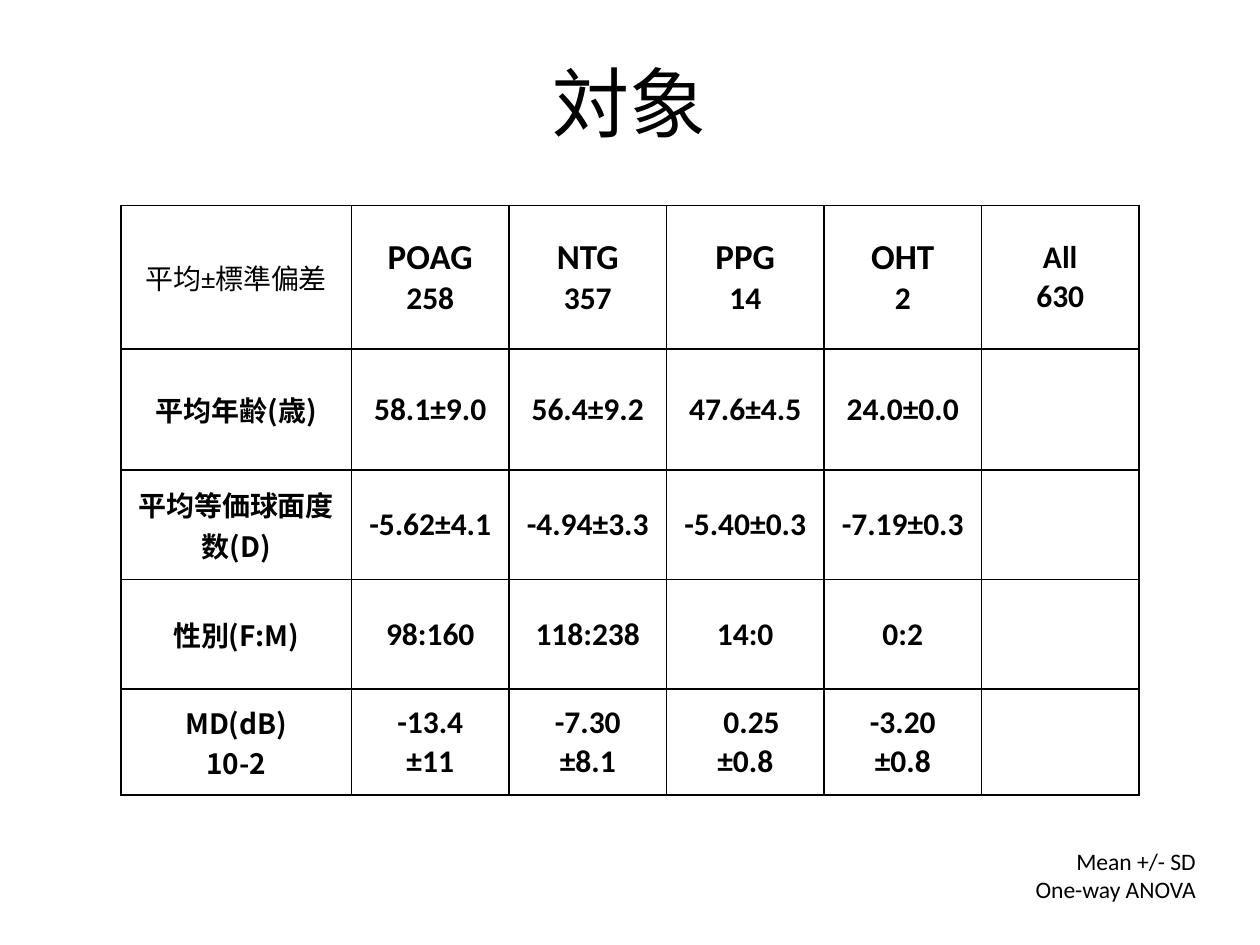
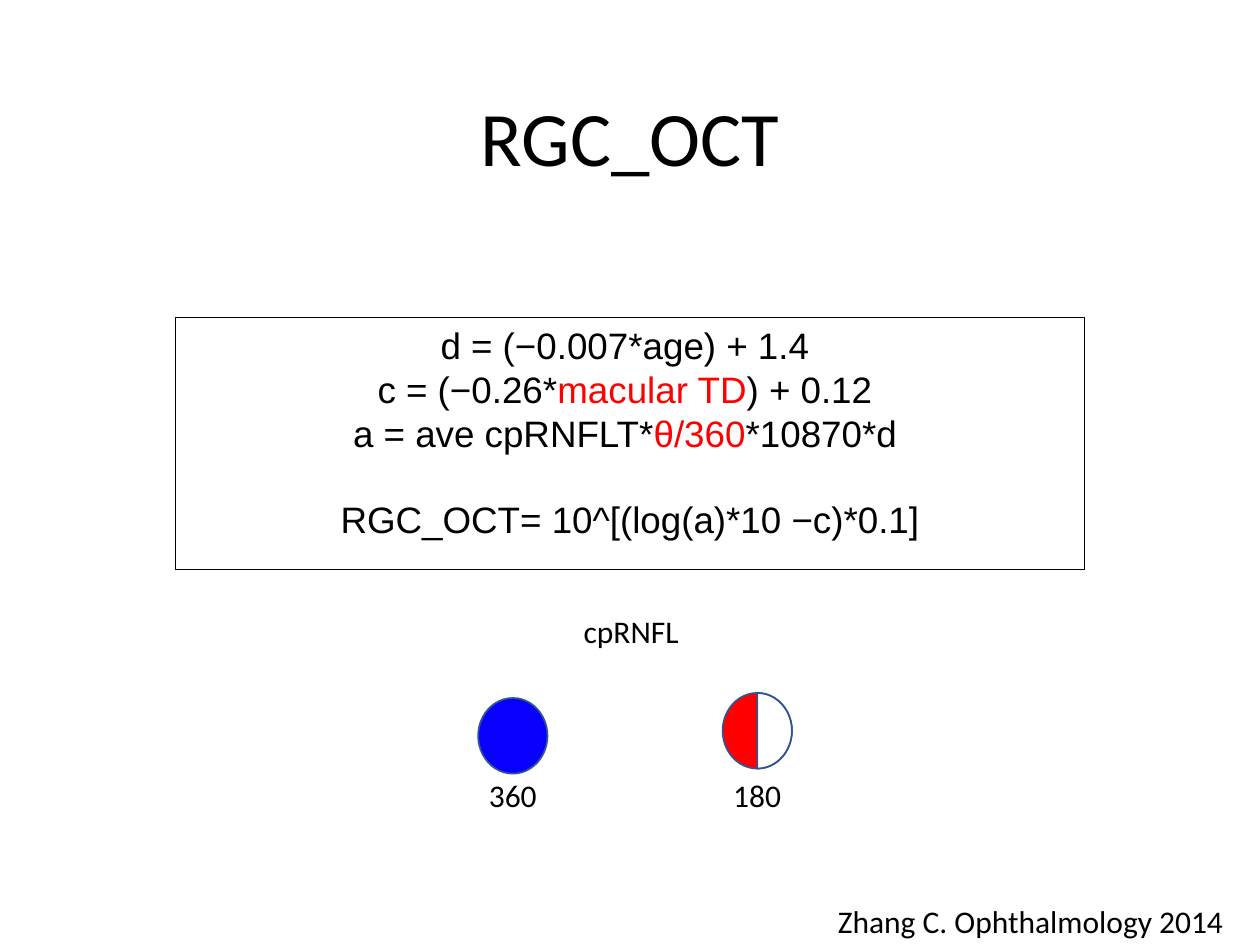
from lxml.etree import SubElement
from pptx import Presentation
from pptx.dml.color import RGBColor
from pptx.enum.shapes import MSO_SHAPE
from pptx.enum.text import MSO_ANCHOR, PP_ALIGN
from pptx.oxml.ns import qn
from pptx.util import Inches, Pt

# Shared look
WIDTH, HEIGHT = 10, 7.5
BLACK, WHITE, RED, BLUE, OUTLINE = "000000", "FFFFFF", "FF0000", "0700FF", "325491"
BODY, LABEL, FORMULA = "Calibri", "Noto Sans CJK JP", "Arial"
CENTER, RIGHT = PP_ALIGN.CENTER, PP_ALIGN.RIGHT

# Subjects table: each cell is a list of lines
HEADER = [["平均±標準偏差"], ["POAG", "258"], ["NTG", "357"], ["PPG", "14"],
          ["OHT", "2"], ["All", "630"]]
ROWS = [
    [["平均年齢(歳)"], ["58.1±9.0"], ["56.4±9.2"], ["47.6±4.5"], ["24.0±0.0"], []],
    [["平均等価球面度数(D)"], ["-5.62±4.1"], ["-4.94±3.3"], ["-5.40±0.3"], ["-7.19±0.3"], []],
    [["性別(F:M)"], ["98:160"], ["118:238"], ["14:0"], ["0:2"], []],
    [["MD(dB)", "10-2"], ["-13.4", "±11"], ["-7.30", "±8.1"], ["0.25", "±0.8"],
     ["-3.20", "±0.8"], []],
]
COLUMN_WIDTHS = [1.83] + [1.25] * 5
ROW_HEIGHTS = [1.14, 0.96, 0.87, 0.87, 0.84]
TABLE_NOTE = ["Mean +/- SD", "One-way ANOVA"]

# Formulas: each line is a list of (text, colour)
FORMULAS = [
    [("d = (−0.007*age) + 1.4 ", BLACK)],
    [("c = (−0.26*", BLACK), ("macular TD", RED), (") + 0.12 ", BLACK)],
    [("a = ave cpRNFLT*", BLACK), ("θ/360", RED), ("*10870*d ", BLACK)],
    [("RGC_OCT= 10^[(log(a)*10 −c)*0.1]", BLACK)],
]
CITATION = "Zhang C. Ophthalmology 2014"

# Nerve fibre layer circles: angle, centre, top, fill
CIRCLES = [("360", 4.07, 5.54, BLUE), ("180", 6.01, 5.5, RED)]
CIRCLE_SIZE = (0.55, 0.6)


def color(hex_text):
    return RGBColor.from_string(hex_text)


def set_font(target, size, name=BODY, bold=False, tint=BLACK):
    target.font.size, target.font.name, target.font.bold = Pt(size), name, bold
    target.font.color.rgb = color(tint)


def set_insets(holder, across, down):
    holder.margin_left = holder.margin_right = Inches(across)
    holder.margin_top = holder.margin_bottom = Inches(down)


def write_lines(frame, lines, size, align=CENTER):
    for number, line in enumerate(lines):
        para = frame.add_paragraph() if number else frame.paragraphs[0]
        para.text, para.alignment = line, align
        set_font(para, size)


def add_text(page, place, lines, size, align=CENTER, insets=(0.1, 0.05), wrap=True):
    frame = page.shapes.add_textbox(*map(Inches, place)).text_frame
    frame.word_wrap = wrap
    set_insets(frame, *insets)
    write_lines(frame, lines, size, align)
    return frame


def add_title(page, text, height):
    frame = add_text(page, (0.69, 0.4, WIDTH - 2 * 0.69, height), [text], 44)
    frame.vertical_anchor = MSO_ANCHOR.MIDDLE
    frame.paragraphs[0].line_spacing = 0.9


def add_shape(page, kind, place, line, weight, fill=None):
    shape = page.shapes.add_shape(kind, *map(Inches, place))
    shape.shadow.inherit = False
    if fill:
        shape.fill.solid()
        shape.fill.fore_color.rgb = color(fill)
    else:
        shape.fill.background()
    shape.line.color.rgb, shape.line.width = color(line), Pt(weight)
    return shape


def style_cell(cell):
    properties = cell._tc.get_or_add_tcPr()
    for side in ("a:lnL", "a:lnR", "a:lnT", "a:lnB"):
        border = SubElement(properties, qn(side), w=str(Pt(1)))
        SubElement(SubElement(border, qn("a:solidFill")), qn("a:srgbClr"), val=BLACK)
    cell.fill.solid()
    cell.fill.fore_color.rgb = color(WHITE)
    cell.vertical_anchor = MSO_ANCHOR.MIDDLE
    set_insets(cell, 0.07, 0.07)


def cell_font(row, column, line, text):
    """Return size, font and weight for one line of the table."""
    if column == 0:
        return (16, LABEL, True) if row else (16, BODY, False)
    large = row == 0 and line == 0 and text != "All"
    return 20 if large else 18, BODY, True


def add_subjects_table(page):
    rows = [HEADER] + ROWS
    table = page.shapes.add_table(
        len(rows), len(COLUMN_WIDTHS), Inches(0.96), Inches(1.63),
        Inches(sum(COLUMN_WIDTHS)), Inches(sum(ROW_HEIGHTS))).table
    table.first_row = table.horz_banding = False
    for column, width in zip(table.columns, COLUMN_WIDTHS):
        column.width = Inches(width)
    for row, height in zip(table.rows, ROW_HEIGHTS):
        row.height = Inches(height)
    for row, cells in enumerate(rows):
        for column, lines in enumerate(cells):
            cell = table.cell(row, column)
            style_cell(cell)
            write_lines(cell.text_frame, lines, 18)
            for line, para in enumerate(cell.text_frame.paragraphs if lines else ()):
                size, name, bold = cell_font(row, column, line, para.text)
                set_font(para, size, name, bold)
                if name == LABEL:
                    for span in para.runs:
                        SubElement(span._r.get_or_add_rPr(), qn("a:ea"), typeface=LABEL)
                if para.text == "0.25":  # leaves room for the missing minus sign
                    para._p.get_or_add_pPr().set("marL", str(Inches(0.1)))


def add_formula_box(page):
    box = add_shape(page, MSO_SHAPE.RECTANGLE, (1.39, 2.52, 7.22, 2), BLACK, 0.75)
    frame = box.text_frame
    frame.word_wrap, frame.vertical_anchor = True, MSO_ANCHOR.TOP
    set_insets(frame, 0.07, 0.04)
    for number, spans in enumerate(FORMULAS):
        para = frame.add_paragraph() if number else frame.paragraphs[0]
        para.alignment = CENTER
        for text, tint in spans:
            span = para.add_run()
            span.text = text
            set_font(span, 21, FORMULA, tint=tint)
    para.space_before = Pt(24)  # sets the result apart


def add_circles(page):
    width, height = CIRCLE_SIZE
    add_text(page, (4.53, 4.81, 0.96, 0.4), ["cpRNFL"], 18, wrap=False)
    for angle, middle, top, fill in CIRCLES:
        place = (middle - width / 2, top, width, height)
        add_shape(page, MSO_SHAPE.OVAL, place, OUTLINE, 1, fill)
        if angle == "180":
            half = add_shape(page, MSO_SHAPE.PIE, place, OUTLINE, 1, WHITE)
            half.adjustments[0], half.adjustments[1] = 162, 54  # 270 to 90 degrees
        add_text(page, (middle - 0.3, 6.11, 0.6, 0.4), [angle], 18, wrap=False)


def main():
    deck = Presentation()
    deck.slide_width, deck.slide_height = Inches(WIDTH), Inches(HEIGHT)
    blank = deck.slide_layouts[6]

    # Subjects
    page = deck.slides.add_slide(blank)
    add_subjects_table(page)
    add_text(page, (6.81, 6.65, 2.75, 0.43), TABLE_NOTE, 13.5, RIGHT, (0.07, 0.07))
    add_title(page, "対象", 0.91)

    # Ganglion cell estimate
    page = deck.slides.add_slide(blank)
    add_title(page, "RGC_OCT", 1.45)
    add_formula_box(page)
    add_text(page, (5.72, 7.12, 4.06, 0.38), [CITATION], 18, RIGHT, (0.07, 0.04))
    add_circles(page)

    deck.save("out.pptx")


if __name__ == "__main__":
    main()
